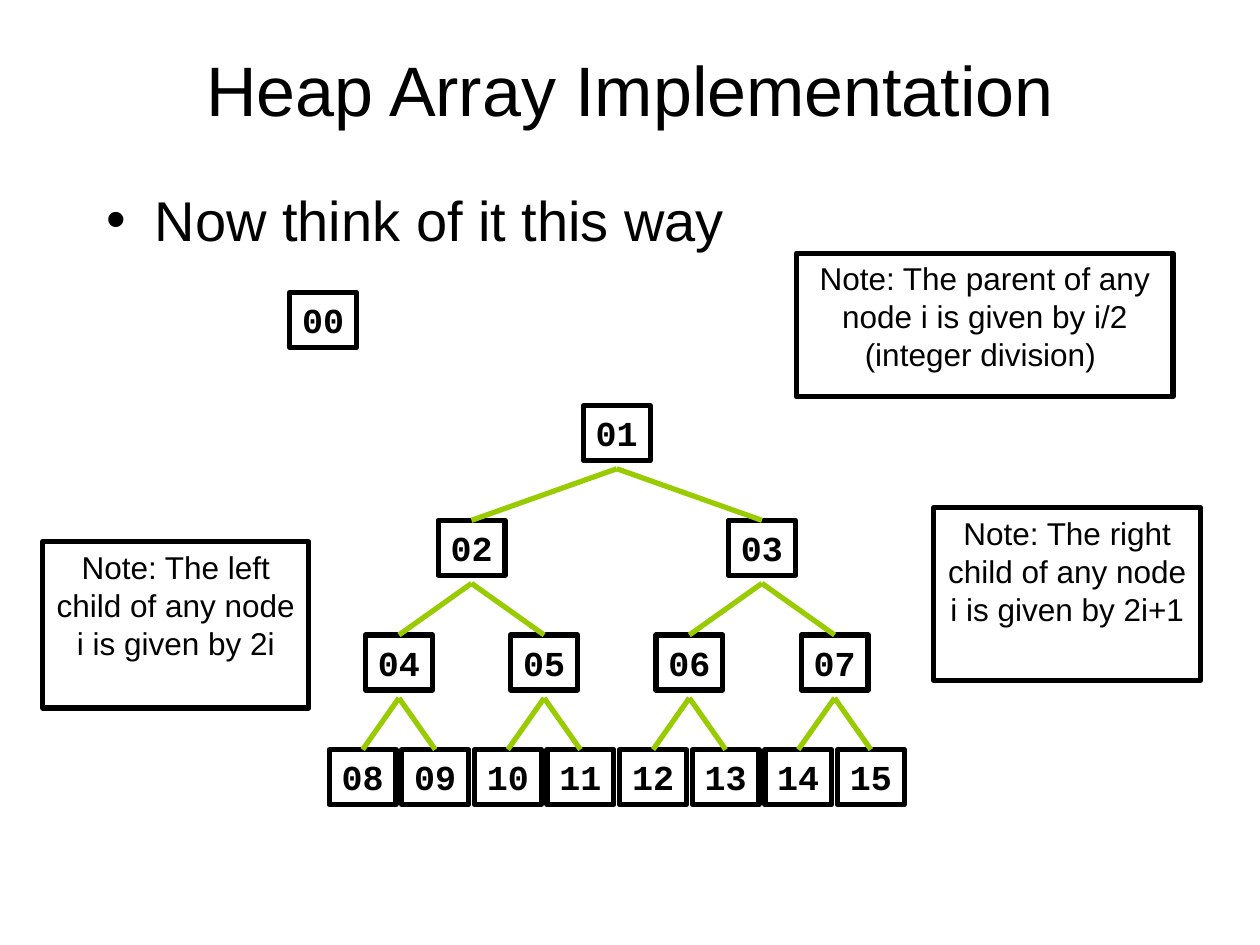
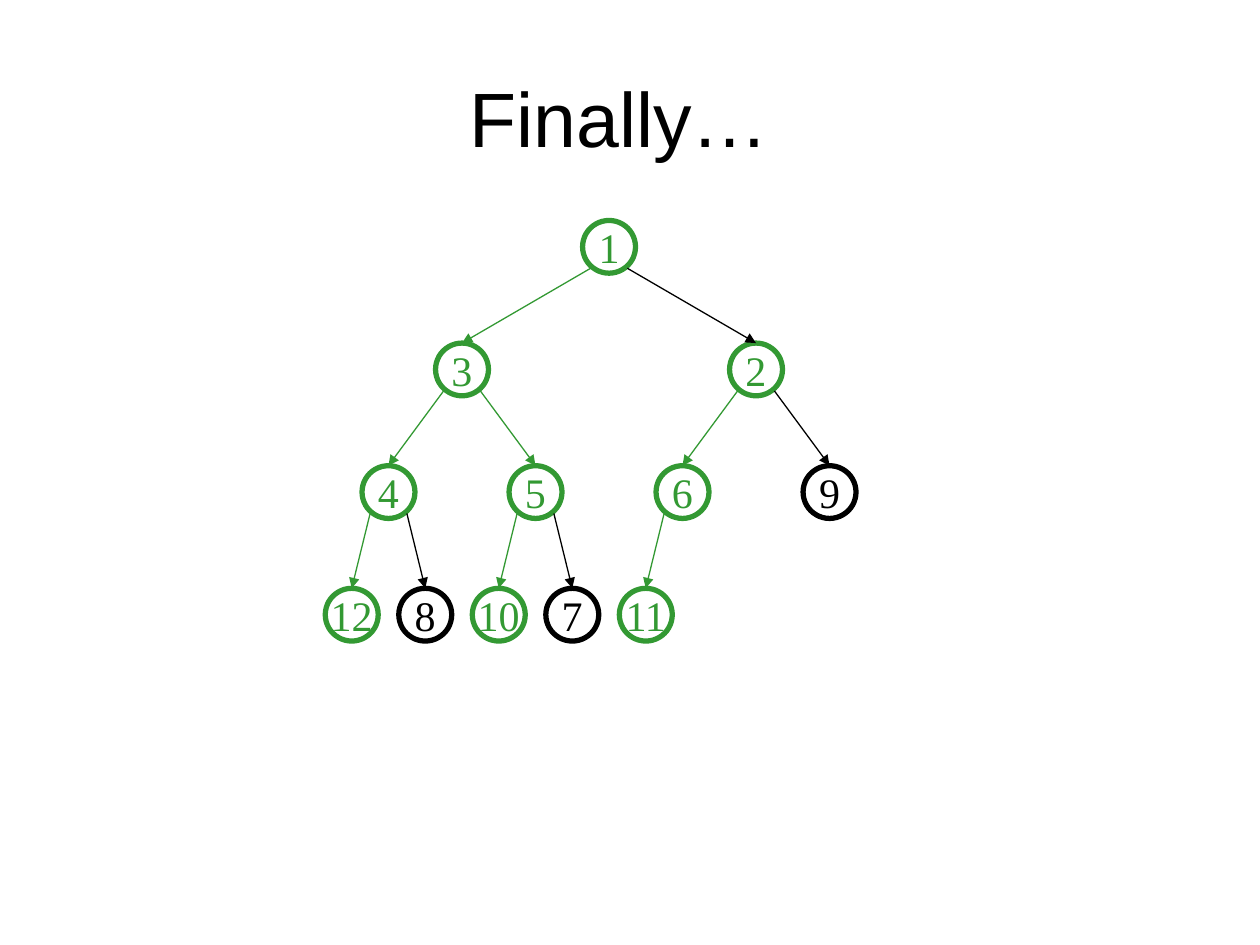
from collections import namedtuple

from lxml.etree import SubElement
from pptx import Presentation
from pptx.dml.color import RGBColor
from pptx.enum.shapes import MSO_CONNECTOR as Link, MSO_SHAPE as Form
from pptx.enum.text import MSO_ANCHOR as Anchor, MSO_AUTO_SIZE as Fit, PP_ALIGN as Align
from pptx.oxml.ns import qn
from pptx.util import Inches, Pt

BLACK = RGBColor(0, 0, 0)
LIME = RGBColor(0x99, 0xCC, 0x00)
GREEN = RGBColor(0x33, 0x99, 0x33)
WIDE, HIGH = Inches(10), Inches(7.5)
COL, ROW = WIDE / 100, HIGH / 100
DEPTH = 4

Box = namedtuple("Box", "x y w h")
Font = namedtuple("Font", "name size bold", defaults=(False,))
Look = namedtuple("Look", "form font anchor wide high out drop weight tip")

MONO = Font("Courier New", 20, True)
SQUARE = Look(Form.RECTANGLE, MONO, Anchor.TOP, 0.92, 0.48, 0, 0.55, 3, False)
ROUND = Look(Form.OVAL, Font("Times New Roman", 24), Anchor.MIDDLE,
             0.72, 0.43, 0.25, 0.39, 0.75, True)


def scale(box):
    return (round(box.x * COL), round(box.y * ROW),
            round(box.w * COL), round(box.h * ROW))


def write(shape, text, font, color=BLACK, align=Align.CENTER, anchor=Anchor.TOP, wrap=True):
    frame = shape.text_frame
    frame.auto_size = Fit.NONE
    frame.word_wrap = wrap
    frame.vertical_anchor = anchor
    para = frame.paragraphs[0]
    para.alignment = align
    run = para.add_run()
    run.text = text
    run.font.name = font.name
    run.font.size = Pt(font.size)
    run.font.bold = font.bold
    run.font.color.rgb = color
    return para


def start(deck, box, text, size):
    slide = deck.slides.add_slide(deck.slide_layouts[5])
    title = slide.shapes.title
    title.left, title.top, title.width, title.height = scale(box)
    write(title, text, Font("Arial", size), anchor=Anchor.MIDDLE)
    return slide


def bullet(slide, box, text):
    para = write(slide.shapes.add_textbox(*scale(box)), text,
                 Font("Arial", 32), align=Align.LEFT)
    para.space_before = Pt(8)
    props = para._p.get_or_add_pPr()
    props.set("marL", str(Inches(0.38)))
    props.set("indent", str(-Inches(0.38)))
    SubElement(props, qn("a:buFont"), typeface="Arial")
    SubElement(props, qn("a:buChar"), char="•")


def frame(slide, box, text, font, form=Form.RECTANGLE, color=BLACK, **opts):
    shape = slide.shapes.add_shape(form, *scale(box))
    shape.shadow.inherit = False
    shape.fill.background()
    shape.line.color.rgb = color
    shape.line.width = Pt(3)
    write(shape, text, font, color, **opts)
    return shape


def edge(slide, x, y, child, color, look):
    line = slide.shapes.add_connector(Link.STRAIGHT, round(x * COL), round(y * ROW), 0, 0)
    line.end_connect(child, 0)
    line.line.color.rgb = color
    line.line.width = Pt(look.weight)
    SubElement(line._element.spPr, qn("a:effectLst"))
    if look.tip:
        SubElement(line.line._get_or_add_ln(), qn("a:tailEnd"), type="triangle")


def tree(slide, box, labels, look, hue, tint):
    slot, step = box.w / 2 ** (DEPTH - 1), box.h / DEPTH
    wide, high = look.wide * slot, look.high * step
    spots, nodes = {}, {}
    for num, text in labels.items():
        level = num.bit_length() - 1
        place = num - 2 ** level
        mid = box.x + box.w * (place + 0.5) / 2 ** level
        top = box.y + level * step
        spots[num] = mid, top
        nodes[num] = frame(slide, Box(mid - wide / 2, top, wide, high), text, look.font,
                           look.form, hue(num), anchor=look.anchor, wrap=False)
    for num in list(labels)[1:]:
        mid, top = spots[num // 2]
        side = 1 if num % 2 else -1
        edge(slide, mid + side * look.out * slot, top + look.drop * step,
             nodes[num], tint(num), look)


def array(deck):
    slide = start(deck, Box(7.5, 1.07, 85, 16.67), "Heap Array Implementation", 40)
    bullet(slide, Box(7.5, 18.93, 85, 8.8), "Now think of it this way")
    frame(slide, Box(23, 30.93, 5.3, 5.87), "00", MONO, wrap=False)
    tree(slide, Box(25.9, 42.93, 46.1, 48.53), {n: f"{n:02}" for n in range(1, 16)},
         SQUARE, lambda num: BLACK, lambda num: LIME)
    notes = [
        (Box(3.4, 57.33, 21.1, 17.6), "Note: The left child of any node i is given by 2i"),
        (Box(74.1, 53.73, 21.2, 18.27), "Note: The right child of any node i is given by 2i+1"),
        (Box(63.2, 26.8, 29.9, 15.2),
         "Note: The parent of any node i is given by i/2 (integer division) "),
    ]
    for box, text in notes:
        frame(slide, box, text, Font("Arial", 18))


def final(deck):
    slide = start(deck, Box(5, 4, 90, 16.67), "Finally… ", 44)
    heap = [1, 3, 2, 4, 5, 6, 9, 12, 8, 10, 7, 11]
    dark = {7, 9, 11}
    tree(slide, Box(25, 23.33, 46.67, 51.9),
         {num: str(key) for num, key in enumerate(heap, 1)}, ROUND,
         lambda num: BLACK if num in dark else GREEN,
         lambda num: BLACK if num in dark | {3} else GREEN)


def main():
    deck = Presentation()
    deck.slide_width, deck.slide_height = WIDE, HIGH
    array(deck)
    final(deck)
    deck.save("out.pptx")


if __name__ == "__main__":
    main()
